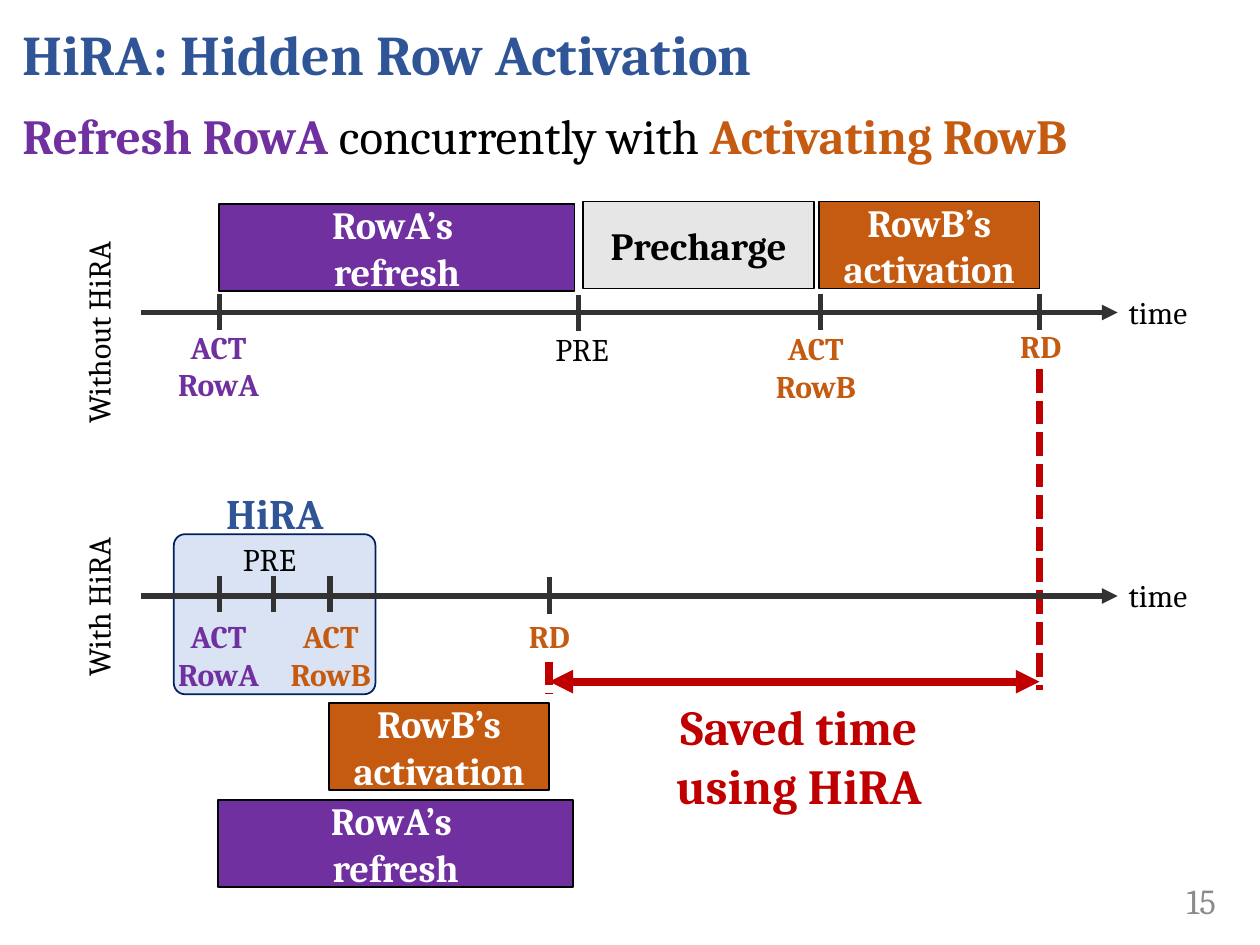
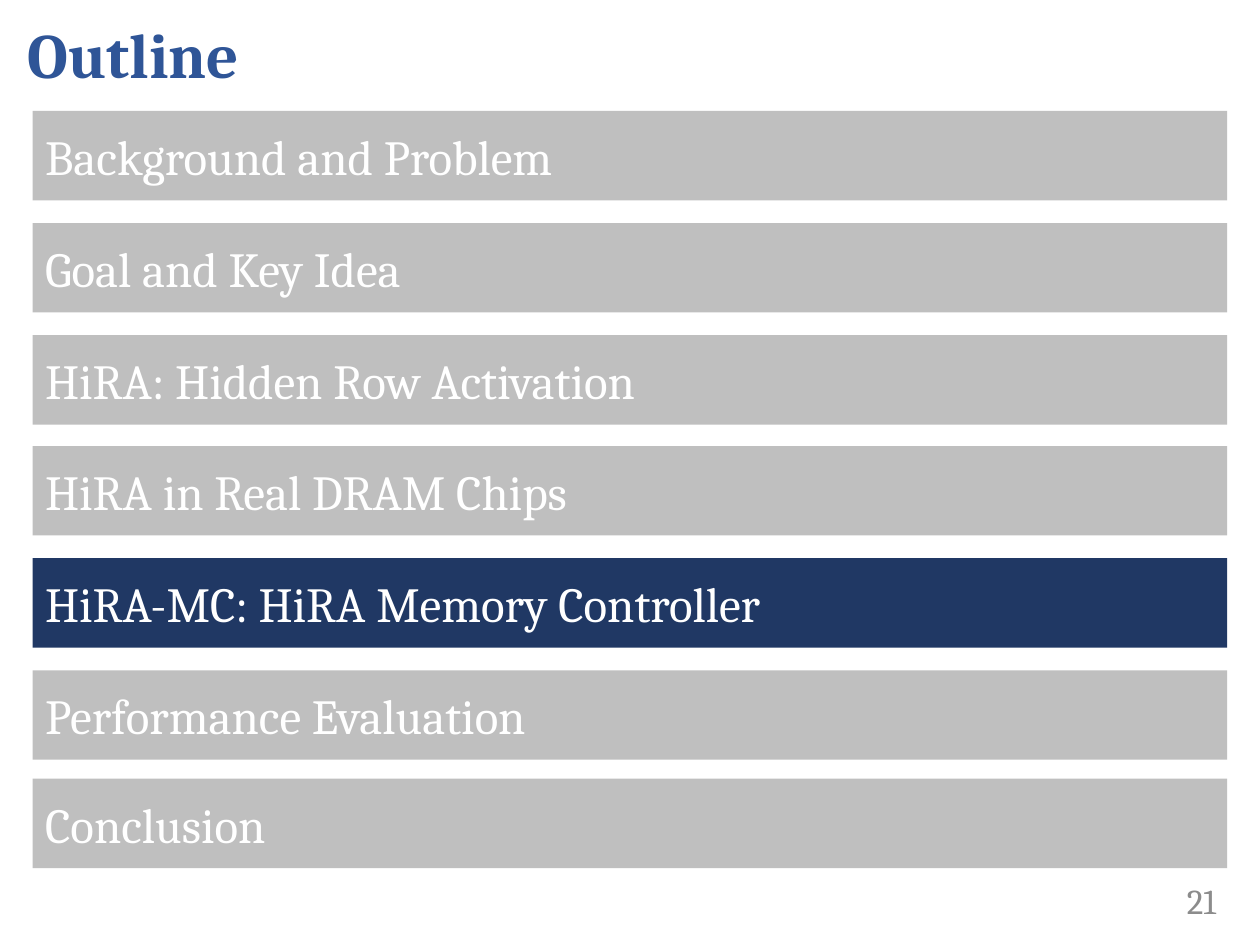
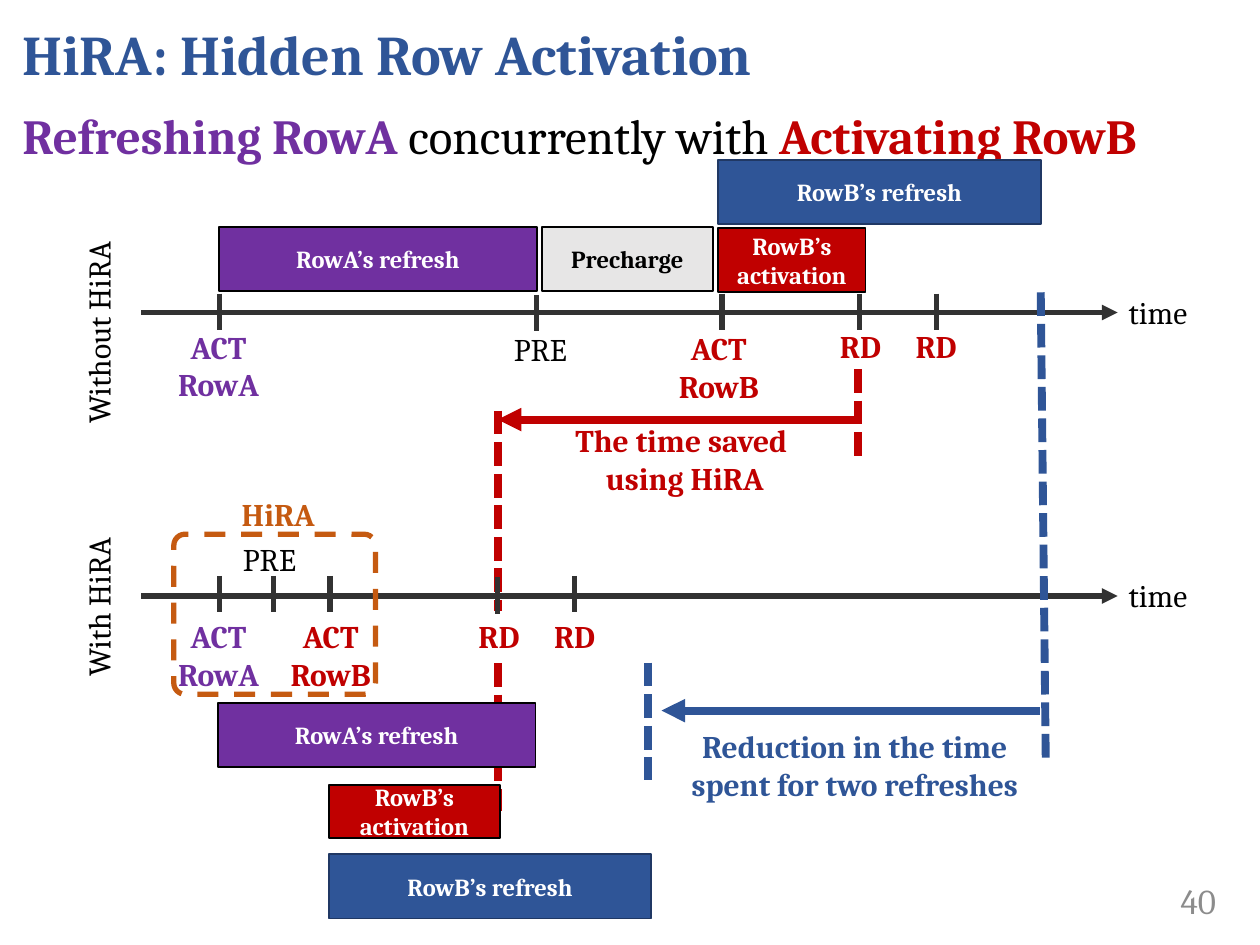
from dataclasses import dataclass
from typing import Optional

from lxml.etree import SubElement
from pptx import Presentation
from pptx.dml.color import RGBColor
from pptx.enum.dml import MSO_LINE
from pptx.enum.shapes import MSO_CONNECTOR, MSO_SHAPE
from pptx.enum.text import MSO_ANCHOR, MSO_AUTO_SIZE, PP_ALIGN
from pptx.oxml.ns import qn
from pptx.util import Emu, Pt

# Scale: 100 px to the inch
PX = 9144

# Shared look
FONT = "Cambria"
BLACK = RGBColor(0x00, 0x00, 0x00)
WHITE = RGBColor(0xFF, 0xFF, 0xFF)
BLUE = RGBColor(0x2F, 0x55, 0x97)
DARK_BLUE = RGBColor(0x20, 0x38, 0x64)
NAVY = RGBColor(0x00, 0x20, 0x60)
PALE_BLUE = RGBColor(0xDA, 0xE3, 0xF3)
PURPLE = RGBColor(0x70, 0x30, 0xA0)
ORANGE = RGBColor(0xC5, 0x5A, 0x11)
RED = RGBColor(0xC0, 0x00, 0x00)
AXIS_GRAY = RGBColor(0x32, 0x32, 0x32)
LIGHT_GRAY = RGBColor(0xE7, 0xE6, 0xE6)
BAND_GRAY = RGBColor(0xBF, 0xBF, 0xBF)
NUMBER_GRAY = RGBColor(0x8C, 0x8C, 0x8C)

# Timeline geometry
UPPER_TICK, LOWER_TICK, TICK_HEIGHT = 233, 457, 29
COMMAND_SIZES = {"ACT": (87, 71), "PRE": (65, 40), "RD": (54, 40)}


@dataclass
class Label:
    text: str
    left: int
    top: int
    width: int
    height: int
    color: RGBColor = BLACK
    size: int = 18
    bold: bool = True
    align: PP_ALIGN = PP_ALIGN.CENTER
    wrap: bool = True
    grow: bool = True
    rotation: int = 0


@dataclass
class Block:
    text: str
    left: int
    top: int
    width: int
    height: int
    fill: Optional[RGBColor]
    size: int
    outline: Optional[RGBColor] = BLACK
    color: RGBColor = WHITE
    bold: bool = True
    align: PP_ALIGN = PP_ALIGN.CENTER


@dataclass
class Line:
    start: tuple[int, int]
    end: tuple[int, int]
    color: RGBColor
    width: float = 4.5
    dashed: bool = False
    arrows: tuple[str, ...] = ()


@dataclass
class Milestone:
    text: str
    tick_left: int
    tick_top: int
    label_left: int
    label_top: int
    color: RGBColor = BLACK
    backed: bool = False


# Drawing functions
def place(*lengths: int) -> list[Emu]:
    return [Emu(length * PX) for length in lengths]


def style_font(font, color: RGBColor, size: int, bold: bool) -> None:
    for name, value in {"name": FONT, "size": Pt(size), "bold": bold}.items():
        setattr(font, name, value)
    font.color.rgb = color


def fill_text(frame, text: str, item) -> None:
    frame.text = text
    for para in frame.paragraphs:
        para.alignment = item.align
        for span in para.runs:
            style_font(span.font, item.color, item.size, item.bold)


def add_label(page, label: Label, anchor: MSO_ANCHOR = MSO_ANCHOR.TOP):
    box = page.shapes.add_textbox(*place(label.left, label.top, label.width, label.height))
    box.rotation = label.rotation
    fit = MSO_AUTO_SIZE.SHAPE_TO_FIT_TEXT if label.grow else MSO_AUTO_SIZE.NONE
    settings = {"word_wrap": label.wrap, "auto_size": fit, "vertical_anchor": anchor}
    for name, value in settings.items():
        setattr(box.text_frame, name, value)
    fill_text(box.text_frame, label.text, label)
    return box


def add_block(page, block: Block, kind: MSO_SHAPE = MSO_SHAPE.RECTANGLE):
    box = page.shapes.add_shape(kind, *place(block.left, block.top, block.width, block.height))
    box.shadow.inherit = False
    for fill, color in ((box.fill, block.fill), (box.line.fill, block.outline)):
        if color is None:
            fill.background()
        else:
            fill.solid()
            fill.fore_color.rgb = color
    if block.outline is not None:
        box.line.width = Pt(1)
    box.text_frame.word_wrap = True
    box.text_frame.vertical_anchor = MSO_ANCHOR.MIDDLE
    if block.text:
        fill_text(box.text_frame, block.text, block)
    return box


def add_line(page, line: Line):
    connector = page.shapes.add_connector(MSO_CONNECTOR.STRAIGHT, *place(*line.start, *line.end))
    connector.line.color.rgb = line.color
    connector.line.width = Pt(line.width)
    if line.dashed:
        connector.line.dash_style = MSO_LINE.SQUARE_DOT
    properties = connector.element.spPr
    for arrow in line.arrows:
        SubElement(properties.find(qn("a:ln")), qn(f"a:{arrow}")).set("type", "triangle")
    SubElement(properties, qn("a:effectLst"))
    return connector


def add_milestone(page, milestone: Milestone):
    """Draw a command label with its tick on the time axis."""
    width, height = COMMAND_SIZES[milestone.text.split()[0]]
    plain = milestone.text == "PRE"
    box = add_label(page, Label(
        milestone.text, milestone.label_left, milestone.label_top, width, height,
        milestone.color, bold=not plain, wrap=False,
        align=PP_ALIGN.LEFT if plain else PP_ALIGN.CENTER))
    if milestone.backed:
        box.fill.solid()
        box.fill.fore_color.rgb = WHITE
    tick, top = milestone.tick_left, milestone.tick_top
    add_line(page, Line((tick, top), (tick, top + TICK_HEIGHT), AXIS_GRAY, 3))
    return box


# Parts that several slides share
def add_page(deck, title: str, number: int, left: int = 8, width: int = 983, size: int = 32):
    page = deck.slides.add_slide(deck.slide_layouts[6])
    add_label(page, Label(str(number), 867, 695, 108, 40, NUMBER_GRAY, 20, False,
                          PP_ALIGN.RIGHT, grow=False), MSO_ANCHOR.MIDDLE)
    add_label(page, Label(title, left, 0, width, 84, BLUE, size,
                          align=PP_ALIGN.LEFT, grow=False), MSO_ANCHOR.MIDDLE)
    return page


def add_subtitle(page, first: str, last: str, last_color: RGBColor) -> None:
    box = page.shapes.add_textbox(*place(8, 84, 983, 611))
    box.text_frame.word_wrap = True
    para = box.text_frame.paragraphs[0]
    para.line_spacing = 0.9
    para.space_after = Pt(12)
    for text, color, bold in ((first, PURPLE, True), ("concurrently with ", BLACK, False),
                              (last, last_color, True)):
        span = para.add_run()
        span.text = text
        style_font(span.font, color, 28, bold)


def add_timelines(page, row_b_color: RGBColor) -> None:
    """Draw both axes, their names and the commands common to both slides."""
    for axis_top, time_top in ((248, 228), (473, 452)):
        add_line(page, Line((112, axis_top), (887, axis_top), AXIS_GRAY, 3, arrows=("tailEnd",)))
        add_label(page, Label("time", 886, time_top, 69, 40, bold=False,
                              align=PP_ALIGN.LEFT, wrap=False))
    for text, left, top, width in (("Without HiRA", -7, 241, 170), ("With HiRA", 11, 460, 134)):
        add_label(page, Label(text, left, top, width, 40, bold=False,
                              align=PP_ALIGN.LEFT, wrap=False, rotation=270))
    for milestone in (
        Milestone("ACT\nRowA", 174, UPPER_TICK, 130, 255, PURPLE),
        Milestone("ACT\nRowA", 174, LOWER_TICK, 130, 485, PURPLE),
        Milestone("PRE", 217, LOWER_TICK, 183, 424),
        Milestone("ACT\nRowB", 262, LOWER_TICK, 219, 485, row_b_color),
    ):
        add_milestone(page, milestone)


def add_hira_window(page, fill: Optional[RGBColor], outline: RGBColor):
    window = add_block(page, Block("", 138, 424, 160, 127, fill, 18, outline),
                       MSO_SHAPE.ROUNDED_RECTANGLE)
    window.adjustments[0] = 0.07
    return window


# Slides
def build_saved_time(deck) -> None:
    page = add_page(deck, "HiRA: Hidden Row Activation", 15)
    add_subtitle(page, "Refresh RowA ", "Activating RowB", ORANGE)
    add_hira_window(page, PALE_BLUE, NAVY)
    add_label(page, Label("HiRA", 137, 382, 162, 50, BLUE, 24))

    # Saved time
    add_line(page, Line((825, 293), (825, 548), RED, dashed=True))
    add_line(page, Line((825, 541), (436, 541), RED, arrows=("headEnd", "tailEnd")))
    add_label(page, Label("Saved time\vusing HiRA", 443, 548, 382, 104, RED, 28))

    # Commands
    add_timelines(page, ORANGE)
    for milestone in (
        Milestone("PRE", 459, UPPER_TICK + 1, 431, 257),
        Milestone("ACT\nRowB", 651, UPPER_TICK, 604, 256, ORANGE),
        Milestone("RD", 825, UPPER_TICK, 799, 255, ORANGE),
    ):
        add_milestone(page, milestone)
    read_box = add_milestone(page, Milestone("RD", 436, LOWER_TICK + 1, 409, 485, ORANGE, True))
    read_end = add_line(page, Line((436, 525), (436, 551), RED, dashed=True))
    read_end.begin_connect(read_box, 2)

    # Row operations
    for block in (
        Block("RowA’s \nrefresh", 174, 162, 282, 69, PURPLE, 22),
        Block("Precharge", 463, 160, 183, 69, LIGHT_GRAY, 22, color=BLACK),
        Block("RowB’s activation", 650, 160, 175, 69, ORANGE, 22),
        Block("RowA’s \nrefresh", 173, 635, 282, 69, PURPLE, 22),
        Block("RowB’s activation", 261, 558, 175, 69, ORANGE, 22),
    ):
        add_block(page, block)


def build_outline(deck) -> None:
    page = add_page(deck, "Outline", 21, 12, 971, 36)
    current = "HiRA-MC: HiRA Memory Controller"
    sections = ("Background and Problem", "Goal and Key Idea", "HiRA: Hidden Row Activation",
                "HiRA in Real DRAM Chips", current, "Performance Evaluation", "Conclusion")
    for index, section in enumerate(sections):
        top = min(88 + round(index * 88.8), 618)
        fill = DARK_BLUE if section == current else BAND_GRAY
        add_block(page, Block(section, 26, top, 948, 71, fill, 28, None,
                              bold=False, align=PP_ALIGN.LEFT))


def build_two_refreshes(deck) -> None:
    page = add_page(deck, "HiRA: Hidden Row Activation", 40)
    add_subtitle(page, "Refreshing RowA ", "Activating RowB", RED)

    # Time saved before the read
    for line in (
        Line((395, 326), (395, 644), RED, dashed=True),
        Line((681, 293), (681, 367), RED, dashed=True),
        Line((681, 333), (395, 333), RED, arrows=("tailEnd",)),
    ):
        add_line(page, line)
    add_label(page, Label("The time saved \vusing HiRA", 417, 329, 253, 71, RED))

    # Commands
    add_timelines(page, RED)
    for milestone in (
        Milestone("PRE", 426, UPPER_TICK + 1, 398, 257),
        Milestone("ACT\nRowB", 573, UPPER_TICK, 527, 256, RED),
        Milestone("RD", 682, UPPER_TICK, 656, 255, RED),
        Milestone("RD", 743, UPPER_TICK, 716, 255, RED),
        Milestone("RD", 395, LOWER_TICK + 1, 369, 485, RED, True),
        Milestone("RD", 456, LOWER_TICK, 429, 485, RED),
    ):
        add_milestone(page, milestone)

    # Row operations
    for block in (
        Block("RowA’s refresh", 174, 180, 252, 51, PURPLE, 14),
        Block("Precharge", 430, 180, 136, 51, LIGHT_GRAY, 14, color=BLACK),
        Block("RowB’s activation", 570, 181, 117, 51, RED, 14),
        Block("RowB’s refresh", 570, 127, 256, 51, BLUE, 14, DARK_BLUE),
        Block("RowA’s refresh", 173, 558, 252, 51, PURPLE, 14),
        Block("RowB’s activation", 261, 623, 136, 42, RED, 14),
        Block("RowB’s refresh", 261, 678, 256, 51, BLUE, 14, DARK_BLUE),
    ):
        add_block(page, block)

    # Reduction for two refreshes
    for line in (
        Line((826, 232), (830, 607), BLUE, dashed=True),
        Line((514, 526), (514, 619), BLUE, dashed=True),
        Line((825, 564), (525, 564), BLUE, arrows=("tailEnd",)),
    ):
        add_line(page, line)
    add_label(page, Label("Reduction in the time spent for two refreshes",
                          527, 572, 303, 71, BLUE))

    # HiRA window
    window = add_hira_window(page, None, ORANGE)
    window.line.width = Pt(3)
    window.line.dash_style = MSO_LINE.DASH
    add_label(page, Label("HiRA", 182, 388, 79, 40, ORANGE, align=PP_ALIGN.LEFT, wrap=False))


def main() -> None:
    deck = Presentation()
    deck.slide_width, deck.slide_height = place(1000, 750)
    build_saved_time(deck)
    build_outline(deck)
    build_two_refreshes(deck)
    deck.save("out.pptx")


if __name__ == "__main__":
    main()
